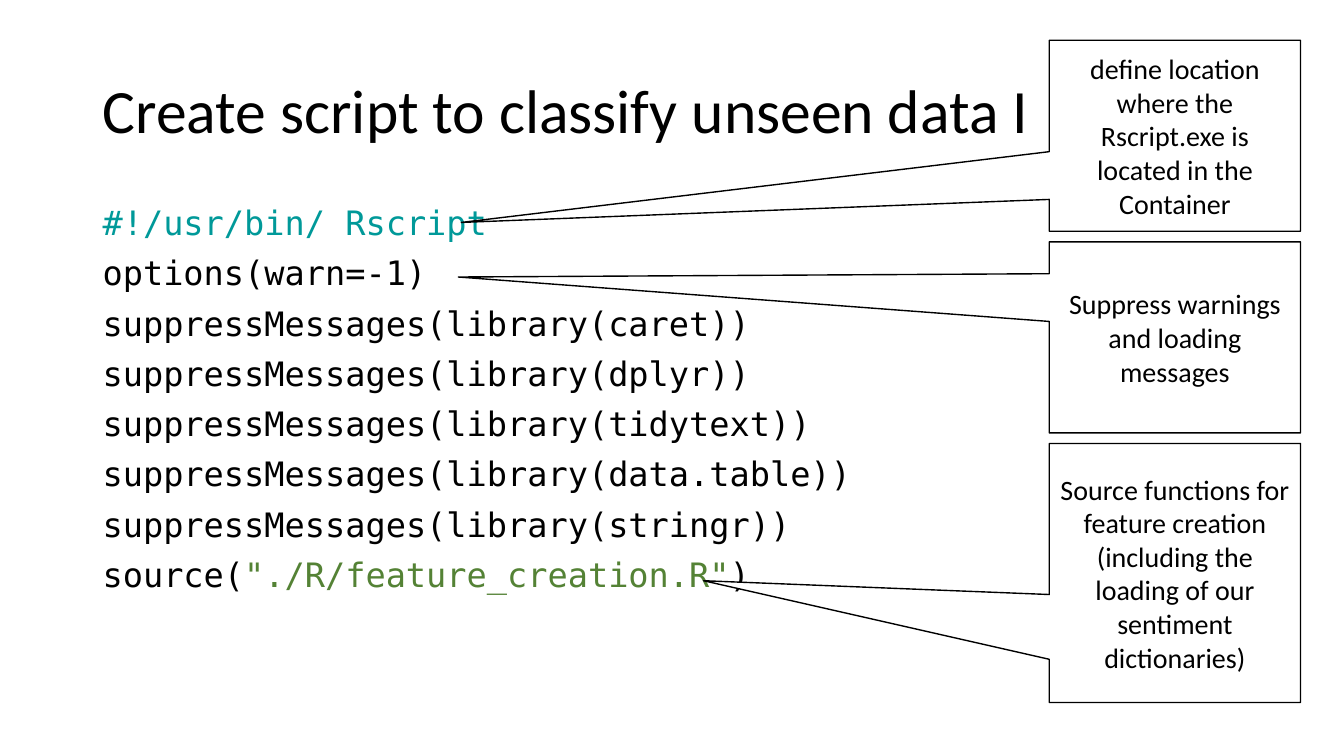
import pptx
import pptx.util
import pptx.dml.color
import pptx.enum.shapes
import pptx.enum.text

Pt = pptx.util.Pt
RGBColor = pptx.dml.color.RGBColor

BLACK = RGBColor(0x00, 0x00, 0x00)
WHITE = RGBColor(0xFF, 0xFF, 0xFF)
TEAL = RGBColor(0x00, 0x99, 0x99)
GREEN = RGBColor(0x54, 0x82, 0x35)
TEXT_FONT = "Calibri"
CODE_FONT = "DejaVu Sans Mono"


def format_run(span, font, size, color):
    span.font.name = font
    span.font.size = Pt(size)
    span.font.color.rgb = color


deck = pptx.Presentation()
deck.slide_width = Pt(960)
deck.slide_height = Pt(540)
page = deck.slides.add_slide(deck.slide_layouts[5])

# Title
title = page.shapes.title
title.left, title.top, title.width, title.height = Pt(66.24), Pt(28.8), Pt(828), Pt(104.4)
title.text_frame.text = "Create script to classify unseen data I"
title.text_frame.auto_size = pptx.enum.text.MSO_AUTO_SIZE.NONE
title.text_frame.vertical_anchor = pptx.enum.text.MSO_ANCHOR.MIDDLE
para = title.text_frame.paragraphs[0]
para.alignment = pptx.enum.text.PP_ALIGN.LEFT
para.line_spacing = 0.9
format_run(para.runs[0], TEXT_FONT, 44, BLACK)

# Code listing: each line is a list of coloured pieces
libraries = ["caret", "dplyr", "tidytext", "data.table", "stringr"]
code_lines = [
    [("#!/usr/bin/ Rscript", TEAL)],
    [("options(warn=-1)", BLACK)],
    *[[(f"suppressMessages(library({library}))", BLACK)] for library in libraries],
    [("source(", BLACK), ('"./R/feature_creation.R"', GREEN), (")", BLACK)],
]
code_box = page.shapes.add_textbox(Pt(66.24), Pt(144), Pt(828), Pt(384.5))
code_frame = code_box.text_frame
code_frame.word_wrap = True
for index, pieces in enumerate(code_lines):
    para = code_frame.add_paragraph() if index else code_frame.paragraphs[0]
    para.line_spacing = 0.9
    para.space_before = Pt(10)
    for words, color in pieces:
        span = para.add_run()
        span.text = words
        format_run(span, CODE_FONT, 24, color)

# Callouts: top, height, pointer offset from the centre (share of width, height), text
callouts = [
    (28.8, 136.4, -2.84, 0.454,
     "define location where the Rscript.exe is located in the Container"),
    (172.8, 136.4, -2.852, -0.316,
     "Suppress warnings and loading messages"),
    (316.8, 185, -1.876, 0.03,
     "Source functions for feature creation (including the loading of our "
     "sentiment dictionaries)"),
]
for top, height, pointer_x, pointer_y, words in callouts:
    callout = page.shapes.add_shape(
        pptx.enum.shapes.MSO_SHAPE.RECTANGULAR_CALLOUT,
        Pt(749.5), Pt(top), Pt(179.5), Pt(height))
    callout.adjustments[0] = pointer_x
    callout.adjustments[1] = pointer_y
    callout.shadow.inherit = False
    callout.fill.solid()
    callout.fill.fore_color.rgb = WHITE
    callout.line.color.rgb = BLACK
    callout.line.width = Pt(1)
    callout.text_frame.text = words
    callout.text_frame.word_wrap = True
    callout.text_frame.vertical_anchor = pptx.enum.text.MSO_ANCHOR.MIDDLE
    para = callout.text_frame.paragraphs[0]
    para.alignment = pptx.enum.text.PP_ALIGN.CENTER
    format_run(para.runs[0], TEXT_FONT, 20, BLACK)

deck.save("out.pptx")
